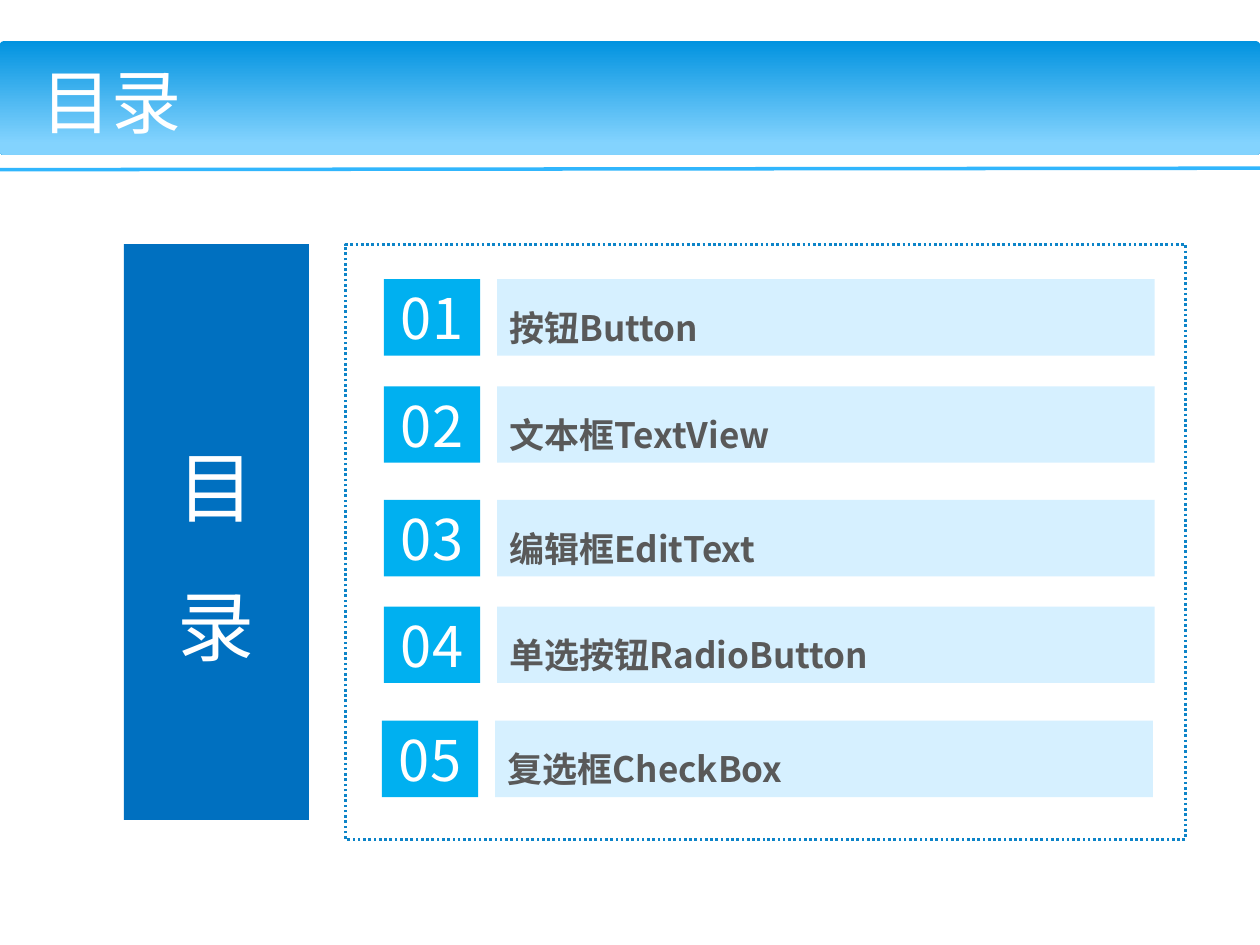
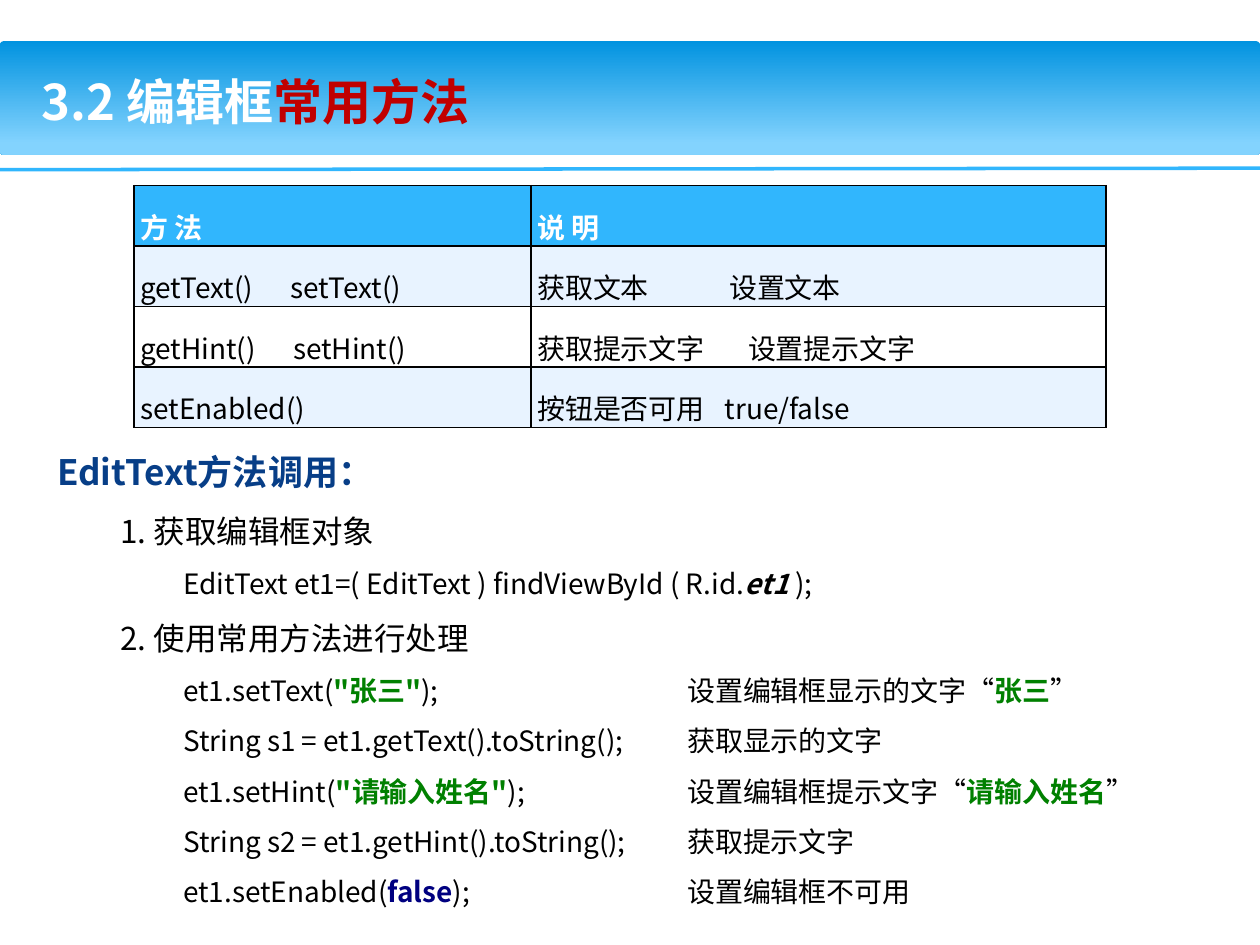
from lxml import etree
from pptx import Presentation
from pptx.dml.color import RGBColor
from pptx.enum.dml import MSO_LINE
from pptx.enum.shapes import MSO_CONNECTOR, MSO_SHAPE
from pptx.enum.text import MSO_ANCHOR, MSO_AUTO_SIZE, PP_ALIGN
from pptx.oxml.ns import qn
from pptx.util import Cm, Pt

FONT = "Noto Sans CJK SC"
WHITE, BLACK, RED = "FFFFFF", "000000", "C00000"
SKY, BLUE, CYAN, PALE = "31B6FD", "0070C0", "00B0F0", "D6F0FF"
NAVY, GREEN, KEYWORD, GREY = "073E87", "008000", "000080", "595959"
RECTANGLE, ROUNDED = MSO_SHAPE.RECTANGLE, MSO_SHAPE.ROUNDED_RECTANGLE
STRAIGHT, DOTTED = MSO_CONNECTOR.STRAIGHT, MSO_LINE.ROUND_DOT
LEFT, CENTER = PP_ALIGN.LEFT, PP_ALIGN.CENTER
TOP, MIDDLE = MSO_ANCHOR.TOP, MSO_ANCHOR.MIDDLE
NO_AUTOFIT = MSO_AUTO_SIZE.NONE


def add_box(slide, kind, left, top, width, height, fill=None):
    shape = slide.shapes.add_shape(kind, Cm(left), Cm(top), Cm(width), Cm(height))
    shape.shadow.inherit = False
    shape.line.fill.background()
    if fill:
        shape.fill.solid()
        shape.fill.fore_color.rgb = RGBColor.from_string(fill)
    else:
        shape.fill.background()
    return shape


def write(paragraph, runs, size, color, bold=False, align=LEFT, spacing=1.5):
    """Fill a paragraph with runs of (text, colour, italic); a colour or italic run is bold."""
    paragraph.alignment = align
    paragraph.line_spacing = spacing
    paragraph.space_before = Pt(0)
    font = paragraph.font
    font.name, font.size, font.bold = FONT, Pt(size), bold
    font.color.rgb = RGBColor.from_string(color)
    defaults = paragraph._p.pPr.find(qn("a:defRPr"))
    etree.SubElement(defaults, qn("a:ea"), typeface=FONT)
    for text, run_color, italic in runs:
        run = paragraph.add_run()
        run.text = text
        if run_color:
            run.font.color.rgb = RGBColor.from_string(run_color)
        if run_color or italic:
            run.font.bold = True
        if italic:
            run.font.italic = True


presentation = Presentation()
presentation.slide_width, presentation.slide_height = Cm(25.4), Cm(19.05)
contents = presentation.slides.add_slide(presentation.slide_layouts[5])
methods = presentation.slides.add_slide(presentation.slide_layouts[1])

# Shared band and rule, moved to the slide master
band = add_box(contents, ROUNDED, 0, 0.83, 25.4, 2.29)
band.adjustments[0] = 0.034
band.fill.gradient()
band.fill.gradient_angle = 270
for stop, (position, color) in zip(band.fill.gradient_stops, [(0, "0293E0"), (0.9, "83D3FE")]):
    stop.position = position
    stop.color.rgb = RGBColor.from_string(color)
rule = contents.shapes.add_connector(STRAIGHT, 0, Cm(3.42), Cm(25.4), Cm(3.39))
rule.line.color.rgb = RGBColor.from_string(SKY)
rule.line.width = Pt(2)
etree.SubElement(rule._element.spPr, qn("a:effectLst"))
for shape in (rule, band):
    presentation.slide_master.shapes._spTree.insert(2, shape._element)

# Titles
titles = [
    (contents, 40, False, [("目录", None, False)]),
    (methods, 28, True, [("3.2 编辑框", None, False), ("常用方法", RED, False)]),
]
for slide, size, bold, runs in titles:
    title = slide.shapes.title
    title.left, title.top, title.width, title.height = Cm(0.59), Cm(0.92), Cm(22.35), Cm(2.21)
    title.text_frame.auto_size = NO_AUTOFIT
    title.text_frame.vertical_anchor = MIDDLE
    write(title.text_frame.paragraphs[0], runs, size, WHITE, bold, spacing=1.0)

# Contents: dotted frame and vertical label
frame = add_box(contents, RECTANGLE, 6.96, 4.93, 16.94, 11.99)
frame.line.color.rgb = RGBColor.from_string("0D84C8")
frame.line.width = Pt(1.5)
frame.line.dash_style = DOTTED
label = add_box(contents, RECTANGLE, 2.5, 4.92, 3.73, 11.61, BLUE)
label.text_frame.vertical_anchor = MIDDLE
label.text_frame.add_paragraph()
for paragraph, character in zip(label.text_frame.paragraphs, "目录"):
    write(paragraph, [(character, None, False)], 44, WHITE, align=CENTER)

# Contents: numbered topics, each with the left and top of its badge in cm
topics = [
    (7.74, 5.63, "按钮Button"),
    (7.74, 7.79, "文本框TextView"),
    (7.74, 10.08, "编辑框EditText"),
    (7.74, 12.23, "单选按钮RadioButton"),
    (7.7, 14.53, "复选框CheckBox"),
]
for number, (left, top, topic) in enumerate(topics, 1):
    bar = add_box(contents, RECTANGLE, left + 2.28, top, 13.26, 1.54, PALE)
    bar.text_frame.vertical_anchor = TOP
    write(bar.text_frame.paragraphs[0], [(topic, None, False)], 20, GREY, True)
    badge = add_box(contents, RECTANGLE, left, top, 1.94, 1.54, CYAN)
    text_frame = badge.text_frame
    text_frame.vertical_anchor = MIDDLE
    text_frame.margin_left = text_frame.margin_right = Cm(0.18)
    text_frame.margin_top = text_frame.margin_bottom = Cm(0.1)
    write(text_frame.paragraphs[0], [(f"{number:02}", None, False)], 32, WHITE,
          align=CENTER, spacing=1.0)

# Methods: table, each cell with its text and tab stop in cm
rows = [
    [("方 法", None), ("说 明", None)],
    [("getText()\tsetText()", 3.02), ("获取文本\t设置文本", 3.87)],
    [("getHint()\tsetHint()", 3.08), ("获取提示文字\t设置提示文字", 4.25)],
    [("setEnabled()", None), ("按钮是否可用\ttrue/false", 3.78)],
]
table = methods.shapes.add_table(4, 2, Cm(2.7), Cm(3.74), Cm(19.6), Cm(4.6)).table
table.columns[0].width, table.columns[1].width = Cm(8), Cm(11.6)
for row_index, row in enumerate(rows):
    table.rows[row_index].height = Cm(1.15)
    header = row_index == 0
    fill = SKY if header else ("E8F3FF" if row_index % 2 else WHITE)
    for column_index, (text, tab_stop) in enumerate(row):
        cell = table.cell(row_index, column_index)
        cell.vertical_anchor = MIDDLE
        cell.margin_left = cell.margin_right = Cm(0.13)
        cell.margin_top = cell.margin_bottom = 0
        properties = cell._tc.get_or_add_tcPr()
        for side in ("a:lnL", "a:lnR", "a:lnT", "a:lnB"):
            border = etree.SubElement(properties, qn(side), w=str(Pt(1)))
            border_fill = etree.SubElement(border, qn("a:solidFill"))
            etree.SubElement(border_fill, qn("a:srgbClr"), val=BLACK)
        cell.fill.solid()
        cell.fill.fore_color.rgb = RGBColor.from_string(fill)
        paragraph = cell.text_frame.paragraphs[0]
        if tab_stop:
            tabs = etree.SubElement(paragraph._p.get_or_add_pPr(), qn("a:tabLst"))
            etree.SubElement(tabs, qn("a:tab"), pos=str(Cm(tab_stop)), algn="l")
        write(paragraph, [(text, None, False)], 16, WHITE if header else BLACK, header)

# Methods: calls, each line with its indent in cm, size and runs
lines = [
    (0, 20, [("EditText方法调用：", None, False)]),
    (1.27, 18, [("1. 获取编辑框对象", None, False)]),
    (2.54, 16, [("EditText et1=( EditText ) findViewById ( R.id.", None, False),
                ("et1 ", None, True), (");", None, False)]),
    (1.27, 18, [("2. 使用常用方法进行处理", None, False)]),
    (2.54, 16, [("et1.setText(", None, False), ('"张三"', GREEN, False),
                (");\t\t设置编辑框显示的文字“", None, False),
                ("张三", GREEN, False), ("”", None, False)]),
    (2.54, 16, [("String s1 = et1.getText().toString();\t获取显示的文字", None, False)]),
    (2.54, 16, [("et1.setHint(", None, False), ('"请输入姓名"', GREEN, False),
                (");\t\t设置编辑框提示文字“", None, False),
                ("请输入姓名", GREEN, False), ("”", None, False)]),
    (2.54, 16, [("String s2 = et1.getHint().toString();\t获取提示文字", None, False)]),
    (2.54, 16, [("et1.setEnabled(", None, False), ("false", KEYWORD, False),
                (");\t\t设置编辑框不可用", None, False)]),
]
body = methods.placeholders[1]
body.left, body.top, body.width, body.height = Cm(0.9), Cm(8.54), Cm(23.8), Cm(9.8)
body.text_frame.auto_size = NO_AUTOFIT
for index, (indent, size, runs) in enumerate(lines):
    heading = index == 0
    paragraph = body.text_frame.paragraphs[0] if heading else body.text_frame.add_paragraph()
    properties = paragraph._p.get_or_add_pPr()
    properties.set("marL", str(Cm(indent)))
    properties.set("indent", "0")
    properties.set("defTabSz", str(Cm(2.54)))
    etree.SubElement(properties, qn("a:buNone"))
    write(paragraph, runs, size, NAVY if heading else BLACK, heading)

presentation.save("out.pptx")
